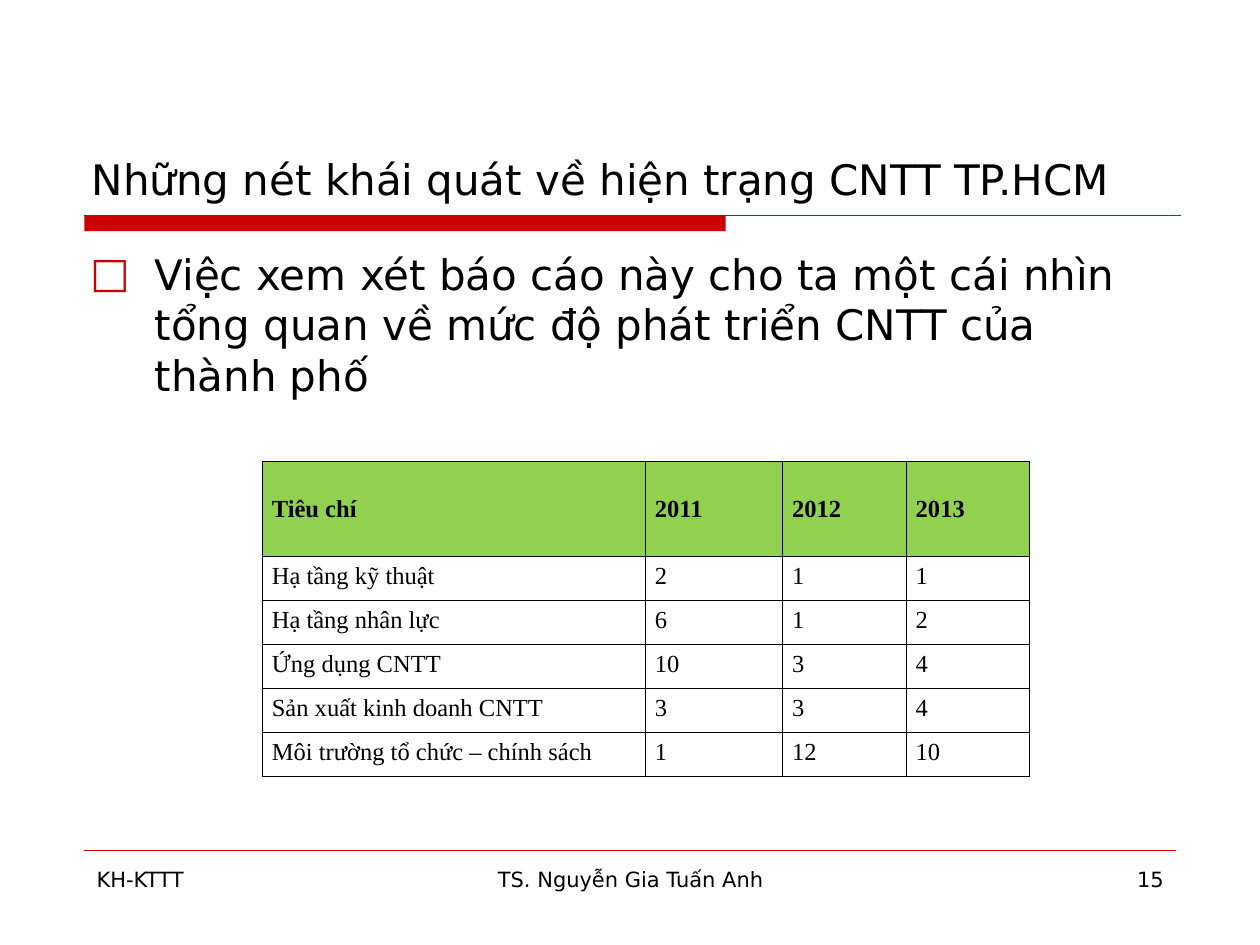
from dataclasses import dataclass

from lxml.etree import SubElement
from pptx import Presentation
from pptx.dml.color import RGBColor
from pptx.enum.shapes import MSO_CONNECTOR, MSO_SHAPE
from pptx.enum.text import MSO_ANCHOR, PP_ALIGN
from pptx.oxml.ns import qn
from pptx.util import Cm, Pt

RED = RGBColor(0xCC, 0x00, 0x00)
GREEN = RGBColor(0x92, 0xD0, 0x50)
BLACK = RGBColor(0x00, 0x00, 0x00)
WHITE = RGBColor(0xFF, 0xFF, 0xFF)
SANS = "DejaVu Sans"
SERIF = "Times New Roman"

LEFT_EDGE = 1.7
FOOTER_TOP = 17.35
FOOTER_HEIGHT = 1.32
COLUMN_WIDTHS = (7.72, 2.77, 2.49, 2.49)
HEADER_HEIGHT = 1.9
ROW_HEIGHT = 0.89
RANKINGS = (
    ("Tiêu chí", "2011", "2012", "2013"),
    ("Hạ tầng kỹ thuật", "2", "1", "1"),
    ("Hạ tầng nhân lực", "6", "1", "2"),
    ("Ứng dụng CNTT", "10", "3", "4"),
    ("Sản xuất kinh doanh CNTT", "3", "3", "4"),
    ("Môi trường tổ chức – chính sách", "1", "12", "10"),
)


@dataclass
class Area:
    """A place on the page, in centimetres."""
    left: float
    top: float
    width: float
    height: float

    def lengths(self) -> tuple:
        return Cm(self.left), Cm(self.top), Cm(self.width), Cm(self.height)


@dataclass
class FooterItem:
    text: str
    left: float
    width: float
    align: PP_ALIGN


FOOTER = (
    FooterItem("KH-KTTT", LEFT_EDGE, 5.5, PP_ALIGN.LEFT),
    FooterItem("TS. Nguyễn Gia Tuấn Anh", 8.69, 8.05, PP_ALIGN.CENTER),
    FooterItem("15", 18.21, 5.5, PP_ALIGN.RIGHT),
)


def write_text(frame, text: str, *, size: float, font: str = SANS,
               bold: bool = False, align: PP_ALIGN = PP_ALIGN.LEFT,
               space_before: float = 0):
    """Fill a text frame with one formatted paragraph and return it."""
    frame.word_wrap = True
    para = frame.paragraphs[0]
    para.alignment = align
    para.space_before = Pt(space_before)
    span = para.add_run()
    span.text = text
    span.font.name = font
    span.font.size = Pt(size)
    span.font.bold = bold
    span.font.color.rgb = BLACK
    return para


def add_bullet(para, symbol: str, color: RGBColor, indent: float) -> None:
    properties = para._p.get_or_add_pPr()
    properties.set("marL", str(Cm(indent)))
    properties.set("indent", str(-Cm(indent)))
    bullet_color = SubElement(properties, qn("a:buClr"))
    SubElement(bullet_color, qn("a:srgbClr"), val=str(color))
    SubElement(properties, qn("a:buFont"), typeface=SANS)
    SubElement(properties, qn("a:buChar"), char=symbol)


def add_rule(page, top: float, right: float, width: float) -> None:
    rule = page.shapes.add_connector(
        MSO_CONNECTOR.STRAIGHT, Cm(LEFT_EDGE), Cm(top), Cm(right), Cm(top))
    rule.line.color.rgb = RED
    rule.line.width = Pt(width)
    SubElement(rule._element.spPr, qn("a:effectLst"))


def add_borders(cell, color: RGBColor, width: float) -> None:
    properties = cell._tc.get_or_add_tcPr()
    for position, side in enumerate(("a:lnL", "a:lnR", "a:lnT", "a:lnB")):
        border = SubElement(properties, qn(side), w=str(Pt(width)))
        fill = SubElement(border, qn("a:solidFill"))
        SubElement(fill, qn("a:srgbClr"), val=str(color))
        properties.insert(position, border)  # borders come before the fill


def add_rankings(page, left: float, top: float) -> None:
    height = HEADER_HEIGHT + ROW_HEIGHT * (len(RANKINGS) - 1)
    area = Area(left, top, sum(COLUMN_WIDTHS), height)
    table = page.shapes.add_table(
        len(RANKINGS), len(COLUMN_WIDTHS), *area.lengths()).table
    table.horz_banding = False
    for column, width in zip(table.columns, COLUMN_WIDTHS):
        column.width = Cm(width)
    for row_index, values in enumerate(RANKINGS):
        header = row_index == 0
        table.rows[row_index].height = Cm(HEADER_HEIGHT if header else ROW_HEIGHT)
        for column_index, value in enumerate(values):
            cell = table.cell(row_index, column_index)
            cell.margin_left = cell.margin_right = Cm(0.19)
            cell.vertical_anchor = MSO_ANCHOR.MIDDLE if header else MSO_ANCHOR.TOP
            cell.fill.solid()
            cell.fill.fore_color.rgb = GREEN if header else WHITE
            write_text(cell.text_frame, value, size=14, font=SERIF,
                       bold=header, space_before=6)
            add_borders(cell, BLACK, 0.45)


def main() -> None:
    deck = Presentation()
    deck.slide_width, deck.slide_height = Cm(25.4), Cm(19.05)
    page = deck.slides.add_slide(deck.slide_layouts[6])

    # Red band and rules
    band = page.shapes.add_shape(
        MSO_SHAPE.RECTANGLE, *Area(LEFT_EDGE, 4.35, 12.93, 0.31).lengths())
    band.shadow.inherit = False
    band.fill.solid()
    band.fill.fore_color.rgb = RED
    band.line.fill.background()
    add_rule(page, top=4.35, right=23.8, width=0.75)
    add_rule(page, top=17.15, right=23.7, width=0.25)

    # Title
    title = page.shapes.add_textbox(*Area(1.6, 0.85, 22.96, 3.38).lengths())
    title.text_frame.vertical_anchor = MSO_ANCHOR.BOTTOM
    write_text(title.text_frame, "Những nét khái quát về hiện trạng CNTT TP.HCM",
               size=24)

    # Body
    body = page.shapes.add_textbox(*Area(1.57, 4.88, 22.23, 11.86).lengths())
    para = write_text(
        body.text_frame,
        "Việc xem xét báo cáo này cho ta một cái nhìn tổng quan về "
        "mức độ phát triển CNTT của thành phố",
        size=24, space_before=6)
    add_bullet(para, "□", RED, indent=1.3)

    # Footer
    for item in FOOTER:
        area = Area(item.left, FOOTER_TOP, item.width, FOOTER_HEIGHT)
        box = page.shapes.add_textbox(*area.lengths())
        write_text(box.text_frame, item.text, size=12, align=item.align)

    # Rankings by year
    add_rankings(page, left=5.29, top=9.31)

    deck.save("out.pptx")


if __name__ == "__main__":
    main()
